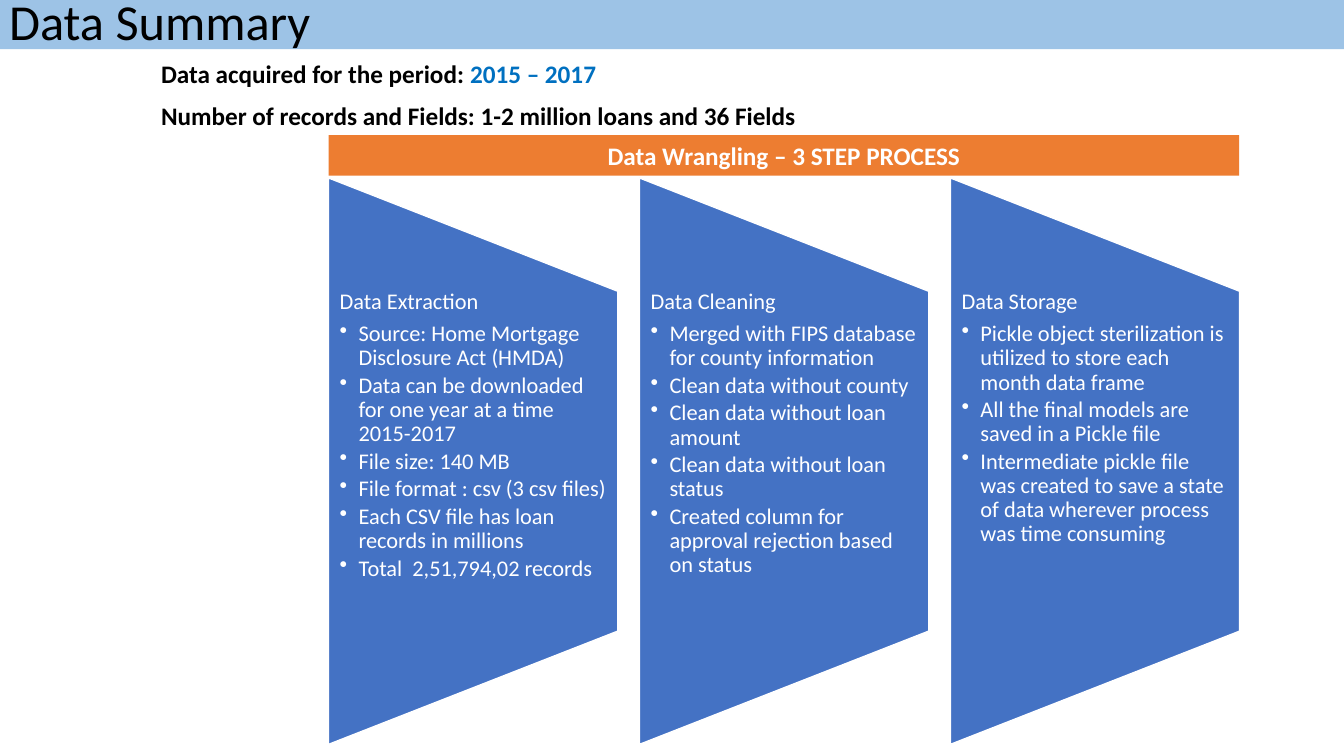
from lxml import etree
from pptx import Presentation
from pptx.dml.color import RGBColor
from pptx.enum.shapes import MSO_SHAPE as SHAPE
from pptx.enum.text import MSO_ANCHOR as ANCHOR, MSO_AUTO_SIZE as FIT, PP_ALIGN as ALIGN
from pptx.oxml.ns import qn
from pptx.util import Pt

COLORS = {"black": "000000", "white": "FFFFFF", "sky": "9DC3E6",
          "orange": "ED7D31", "blue": "4472C4", "period": "0070C0"}
STEPS = [
    ("Data Extraction", [
        "Source: Home Mortgage Disclosure Act (HMDA)",
        "Data can be downloaded for one year at a time 2015-2017",
        "File size: 140 MB",
        "File format : csv (3 csv files)",
        "Each CSV file has loan records in millions",
        "Total  2,51,794,02 records"]),
    ("Data Cleaning", [
        "Merged with FIPS database for county information",
        "Clean data without county",
        "Clean data without loan amount",
        "Clean data without loan status",
        "Created column for approval rejection based on status"]),
    ("Data Storage", [
        "Pickle object sterilization is utilized to store each month data frame",
        "All the final models are saved in a Pickle file",
        "Intermediate pickle file was created to save a state of data wherever process was time consuming"]),
]
PANEL_LEFT, PANEL_W, PANEL_H, PANEL_STEP = 234.7, 206.6, 404.6, 222.1
PANEL_MIDDLE = 329.4
INDENT = 13.5


def rgb(name):
    return RGBColor.from_string(COLORS[name])


def add_run(p, text, size, color, bold=False):
    r = p.add_run()
    r.text = text
    for name, value in {"name": "Calibri", "size": Pt(size), "bold": bold}.items():
        setattr(r.font, name, value)
    r.font.color.rgb = rgb(color)


prs = Presentation()
prs.slide_width, prs.slide_height = Pt(960), Pt(540)
s = prs.slides.add_slide(prs.slide_layouts[5])

# Title band
title = s.shapes.title
title.left, title.top, title.width, title.height = Pt(-0.7), Pt(0), Pt(960.7), Pt(35.2)
title.fill.solid()
title.fill.fore_color.rgb = rgb("sky")
tf = title.text_frame
for name, value in {"auto_size": FIT.NONE, "word_wrap": True,
                    "vertical_anchor": ANCHOR.MIDDLE}.items():
    setattr(tf, name, value)
p = tf.paragraphs[0]
p.alignment, p.line_spacing = ALIGN.LEFT, 0.9
add_run(p, "Data Summary", 36, "black")

# Facts about the data
facts = [
    [("Data acquired for the period: ", "black"), ("2015 – 2017", "period")],
    [("Number of records and Fields: 1-2 million loans and 36 Fields", "black")],
]
for i, fact in enumerate(facts):
    sp = s.shapes.add_textbox(Pt(108), Pt(38.4 + 30 * i), Pt(820), Pt(29))
    sp.text_frame.word_wrap = True
    for text, color in fact:
        add_run(sp.text_frame.paragraphs[0], text, 18, color, bold=True)

# Process heading
sp = s.shapes.add_shape(SHAPE.RECTANGLE, Pt(PANEL_LEFT), Pt(96.5), Pt(650.4), Pt(29))
sp.shadow.inherit = False
sp.fill.solid()
sp.fill.fore_color.rgb = rgb("orange")
sp.line.fill.background()
tf = sp.text_frame
tf.word_wrap, tf.vertical_anchor = True, ANCHOR.TOP
tf.paragraphs[0].alignment = ALIGN.CENTER
add_run(tf.paragraphs[0], "Data Wrangling – 3 STEP PROCESS", 18, "white", bold=True)

# Step panels: each shape is turned on its side around its centre
for i, (heading, bullets) in enumerate(STEPS):
    left = PANEL_LEFT + PANEL_STEP * i
    sp = s.shapes.add_shape(
        SHAPE.FLOWCHART_MANUAL_OPERATION,
        Pt(left + (PANEL_W - PANEL_H) / 2), Pt(PANEL_MIDDLE - PANEL_W / 2),
        Pt(PANEL_H), Pt(PANEL_W))
    sp.rotation = 270
    sp.shadow.inherit = False
    sp.fill.solid()
    sp.fill.fore_color.rgb = rgb("blue")
    sp.line.color.rgb = rgb("white")
    sp.line.width = Pt(1)

    tf = s.shapes.add_textbox(Pt(left), Pt(207.4), Pt(PANEL_W), Pt(242.6)).text_frame
    for name, value in {"word_wrap": True, "margin_left": Pt(8), "margin_right": Pt(8),
                        "margin_top": 0, "margin_bottom": 0}.items():
        setattr(tf, name, value)
    p = tf.paragraphs[0]
    p.line_spacing, p.space_after = 0.9, Pt(5.6)
    add_run(p, heading, 16, "white")
    for bullet in bullets:
        p = tf.add_paragraph()
        p.level, p.line_spacing, p.space_after = 1, 0.9, Pt(2.4)
        add_run(p, bullet, 16, "white")
        pPr = p._p.get_or_add_pPr()
        pPr.set("marL", str(Pt(INDENT)))
        pPr.set("indent", str(-Pt(INDENT)))
        etree.SubElement(pPr, qn("a:buChar"), char="•")

prs.save("out.pptx")
